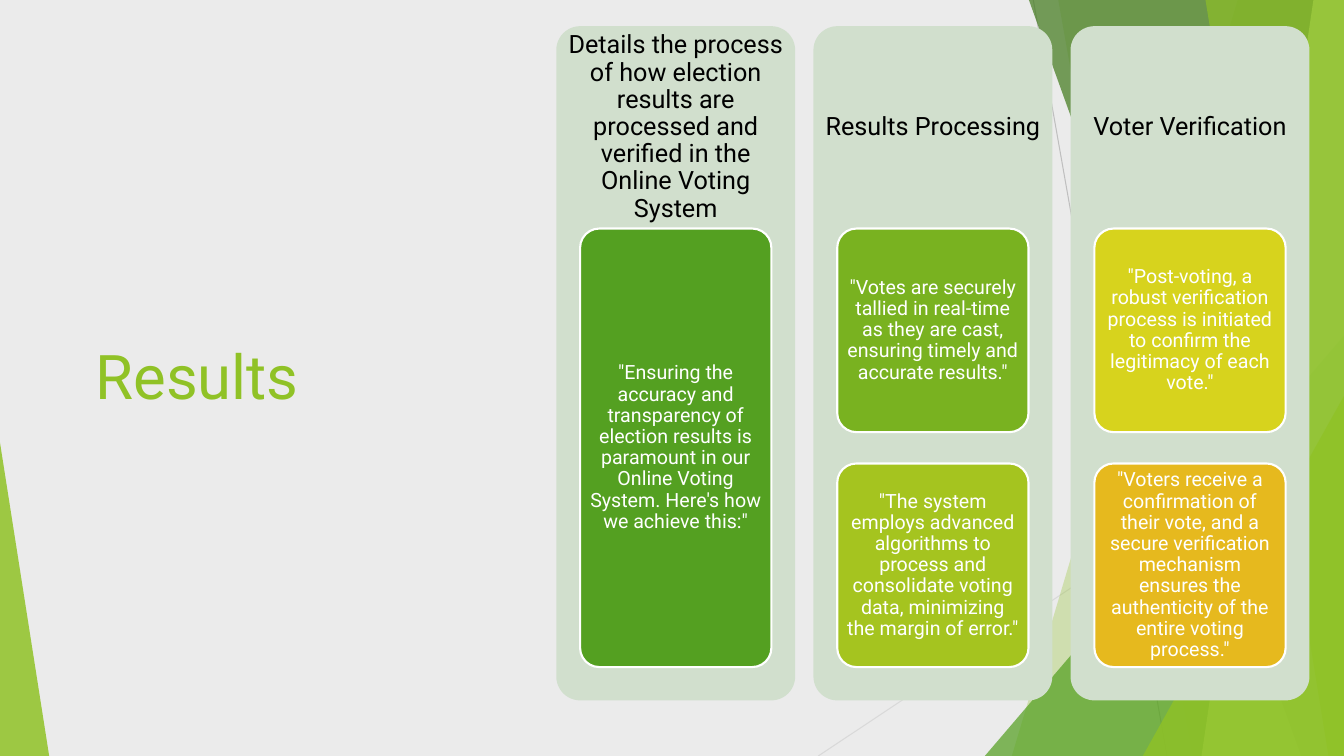
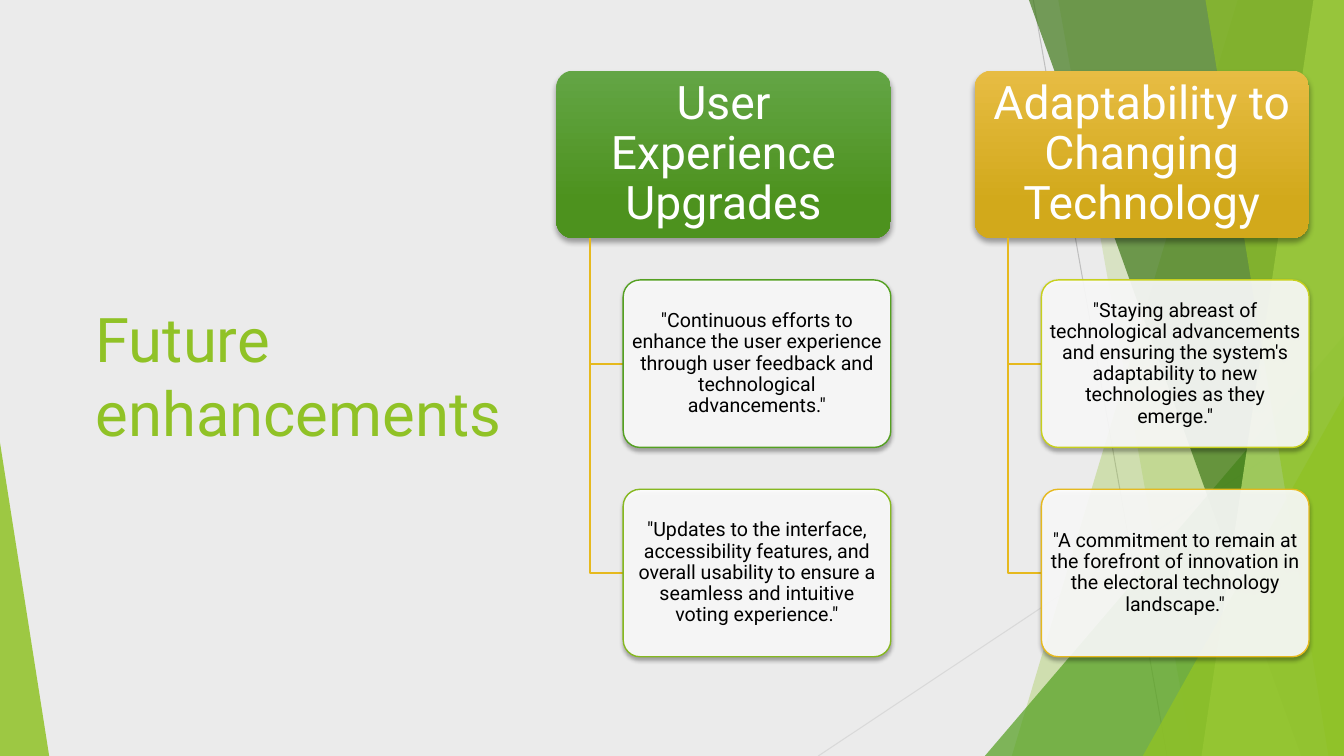
from dataclasses import dataclass

from lxml.etree import SubElement
from pptx import Presentation
from pptx.dml.color import RGBColor as RGB
from pptx.enum.shapes import MSO_CONNECTOR as CONN, MSO_SHAPE as SHAPE
from pptx.enum.text import MSO_ANCHOR as ANCHOR, PP_ALIGN as ALIGN
from pptx.oxml.ns import qn
from pptx.util import Cm, Pt


@dataclass(frozen=True)
class Theme:
    """Colours, type sizes and page size in centimetres."""
    font: str = "Roboto"
    width: float = 33.87
    height: float = 19.05
    title_size: int = 44
    card_size: int = 33
    head_size: int = 18
    body_size: int = 14
    back: str = "EBEBEB"
    accent: str = "90C226"
    green: str = "54A021"
    dark: str = "3F7819"
    pale: str = "C0E474"
    leaf: str = "79B220"
    lime: str = "A5C41F"
    yellow: str = "D7D31D"
    gold: str = "E6B91E"
    grass: str = "86B820"
    citron: str = "C7D01D"
    panel: str = "D1DFCD"
    ray: str = "BFBFBF"
    pale_ray: str = "D9D9D9"
    white: str = "FFFFFF"
    black: str = "000000"
    green_fade: tuple = ("63A545", "4D921E")
    gold_fade: tuple = ("E7BC43", "D2A91B")


T = Theme()


def paint(sp, fill=None, alpha=100, line=None, weight=1.5):
    """Set fill, opacity and outline, and drop the default shadow."""
    sp.shadow.inherit = False
    if fill:
        sp.fill.solid()
        sp.fill.fore_color.rgb = RGB.from_string(fill)
        if alpha < 100:
            color = sp.fill._xPr.find(qn("a:solidFill"))[0]
            SubElement(color, qn("a:alpha"), val=str(alpha * 1000))
    else:
        sp.fill.background()
    if line:
        sp.line.color.rgb = RGB.from_string(line)
        sp.line.width = Pt(weight)
    else:
        sp.line.fill.background()


def fade(sp, colors):
    """Fill a shape with a vertical gradient."""
    sp.fill.gradient()
    sp.fill.gradient_angle = 270
    for stop, color, position in zip(sp.fill.gradient_stops, colors, (0, 0.78)):
        stop.color.rgb = RGB.from_string(color)
        stop.position = position


def cast_shadow(sp, blur, distance):
    """Add a soft shadow below a shape."""
    effects = sp._element.spPr.find(qn("a:effectLst"))
    shadow = SubElement(effects, qn("a:outerShdw"), blurRad=str(Pt(blur)),
                        dist=str(Pt(distance)), dir="5400000", rotWithShape="0")
    color = SubElement(shadow, qn("a:srgbClr"), val=T.black)
    SubElement(color, qn("a:alpha"), val="35000")


def write(sp, text, size, color, inset, align=ALIGN.CENTER, spacing=0.9):
    """Write one vertically centred paragraph into a shape."""
    tf = sp.text_frame
    tf.word_wrap = True
    tf.vertical_anchor = ANCHOR.MIDDLE
    tf.margin_left = tf.margin_right = Cm(inset[0])
    tf.margin_top = tf.margin_bottom = Cm(inset[1])
    p = tf.paragraphs[0]
    p.text = text
    p.alignment = align
    p.line_spacing = spacing
    font = p.runs[0].font
    font.name, font.size, font.color.rgb = T.font, Pt(size), RGB.from_string(color)


def add_shape(s, kind, x, y, w, h, adjust):
    """Add a preset shape with one adjustment."""
    sp = s.shapes.add_shape(kind, Cm(x), Cm(y), Cm(w), Cm(h))
    sp.adjustments[0] = adjust
    return sp


def add_rounded(s, x, y, w, h):
    """Add a box with softly rounded corners."""
    return add_shape(s, SHAPE.ROUNDED_RECTANGLE, x, y, w, h, 0.1)


def add_outline(s, points, close):
    """Add a freeform through the given points."""
    (x, y), *rest = [(Cm(px), Cm(py)) for px, py in points]
    builder = s.shapes.build_freeform(x, y)
    builder.add_line_segments(rest, close=close)
    return builder.convert_to_shape()


def add_ray(s, x1, y1, x2, y2, color):
    """Add a thin background line."""
    line = s.shapes.add_connector(CONN.STRAIGHT, Cm(x1), Cm(y1), Cm(x2), Cm(y2))
    line.line.color.rgb = RGB.from_string(color)
    line.line.width = Pt(0.75)
    SubElement(line._element.spPr, qn("a:effectLst"))


def add_band(s, top_x, bottom_x, color, alpha):
    """Add a slanted band reaching to the right edge."""
    points = [(top_x, 0), (T.width, 0), (T.width, T.height), (bottom_x, T.height)]
    paint(add_outline(s, points, True), color, alpha)


def add_corner(s, x, y, w, apex, color, alpha):
    """Add a triangle standing on the bottom edge."""
    sp = add_shape(s, SHAPE.ISOSCELES_TRIANGLE, x, y, w, T.height - y, apex)
    paint(sp, color, alpha)


def add_page(prs, title):
    """Add a slide with the shared facets and its title."""
    s = prs.slides.add_slide(prs.slide_layouts[6])
    add_ray(s, 26.04, 0, 29.41, T.height, T.ray)
    add_ray(s, T.width, 10.24, 20.62, T.height, T.pale_ray)
    add_band(s, 31.19, 25.5, T.accent, 30)
    add_band(s, 26.67, 30.05, T.accent, 20)
    add_corner(s, 24.82, 8.46, T.width - 24.82, 1, T.green, 72)
    add_band(s, 25.93, 32.79, T.dark, 70)
    add_band(s, 33.1, 30.28, T.pale, 70)
    add_band(s, 30.38, 33.48, T.accent, 65)
    add_corner(s, 28.8, 9.98, T.width - 28.8, 1, T.accent, 80)
    add_corner(s, 0, 11.15, 1.24, 0, T.accent, 85)
    sp = s.shapes.add_textbox(Cm(2.16), Cm(1.37), Cm(10.97), Cm(16.15))
    write(sp, title, T.title_size, T.accent, (0.25, 0.13), ALIGN.LEFT, 1)
    return s


def add_panel(s, x, heading, boxes):
    """Add a tall panel with a heading and equal boxes."""
    top, width, head, gap, side, area = 0.66, 6.02, 5.1, 0.79, 0.6, 11.05
    paint(add_rounded(s, x, top, width, 16.99), T.panel)
    sp = s.shapes.add_textbox(Cm(x), Cm(top), Cm(width), Cm(head))
    write(sp, heading, T.head_size, T.black, (0.18, 0.18))
    height = (area - gap * (len(boxes) - 1)) / len(boxes)
    for i, (text, color) in enumerate(boxes):
        y = top + head + i * (height + gap)
        sp = add_rounded(s, x + side, y, width - 2 * side, height)
        paint(sp, color, line=T.white)
        write(sp, text, T.body_size, T.white, (0.1, 0.08))


def add_branch(s, x, heading, colors, cards):
    """Add a gradient heading card with cards hanging below it."""
    top, width, height = 1.78, 8.43, 4.22
    sp = add_rounded(s, x, top, width, height)
    paint(sp)
    fade(sp, colors)
    cast_shadow(sp, 4, 3)
    write(sp, heading, T.card_size, T.white, (0.18, 0.13))
    stem, left, bottom = x + width * 0.1, x + width * 0.2, top + height
    for i, (text, color) in enumerate(cards, 1):
        y = top + i * height * 1.25
        middle = y + height / 2
        elbow = [(stem, bottom), (stem, middle), (left, middle)]
        paint(add_outline(s, elbow, False), line=T.gold)
        sp = add_rounded(s, left, y, width * 0.8, height)
        paint(sp, T.white, 90, color, 1)
        cast_shadow(sp, 3, 2)
        write(sp, text, T.body_size, T.black, (0.08, 0.05))


def add_results(prs):
    """Build the results slide."""
    s = add_page(prs, "Results")
    panels = [
        ("Details the process of how election results are processed and "
         "verified in the Online Voting System",
         [('"Ensuring the accuracy and transparency of election results is paramount '
           'in our Online Voting System. Here\'s how we achieve this:"', T.green)]),
        ("Results Processing",
         [('"Votes are securely tallied in real-time as they are cast, ensuring '
           'timely and accurate results."', T.leaf),
          ('"The system employs advanced algorithms to process and consolidate '
           'voting data, minimizing the margin of error."', T.lime)]),
        ("Voter Verification",
         [('"Post-voting, a robust verification process is initiated to confirm '
           'the legitimacy of each vote."', T.yellow),
          ('"Voters receive a confirmation of their vote, and a secure verification '
           'mechanism ensures the authenticity of the entire voting process."',
           T.gold)]),
    ]
    for i, (heading, boxes) in enumerate(panels):
        add_panel(s, 14.02 + i * 6.48, heading, boxes)


def add_enhancements(prs):
    """Build the future enhancements slide."""
    s = add_page(prs, "Future enhancements")
    branches = [
        ("User Experience Upgrades", T.green_fade,
         [('"Continuous efforts to enhance the user experience through user '
           'feedback and technological advancements."', T.green),
          ('"Updates to the interface, accessibility features, and overall usability '
           'to ensure a seamless and intuitive voting experience."', T.grass)]),
        ("Adaptability to Changing Technology", T.gold_fade,
         [('"Staying abreast of technological advancements and ensuring the system\'s '
           'adaptability to new technologies as they emerge."', T.citron),
          ('"A commitment to remain at the forefront of innovation in the electoral '
           'technology landscape."', T.gold)]),
    ]
    for i, (heading, colors, cards) in enumerate(branches):
        add_branch(s, 14.02 + i * 10.54, heading, colors, cards)


def main():
    """Build and save the presentation."""
    prs = Presentation()
    prs.slide_width, prs.slide_height = Cm(T.width), Cm(T.height)
    fill = prs.slide_master.background.fill
    fill.solid()
    fill.fore_color.rgb = RGB.from_string(T.back)
    add_results(prs)
    add_enhancements(prs)
    prs.save("out.pptx")


if __name__ == "__main__":
    main()
